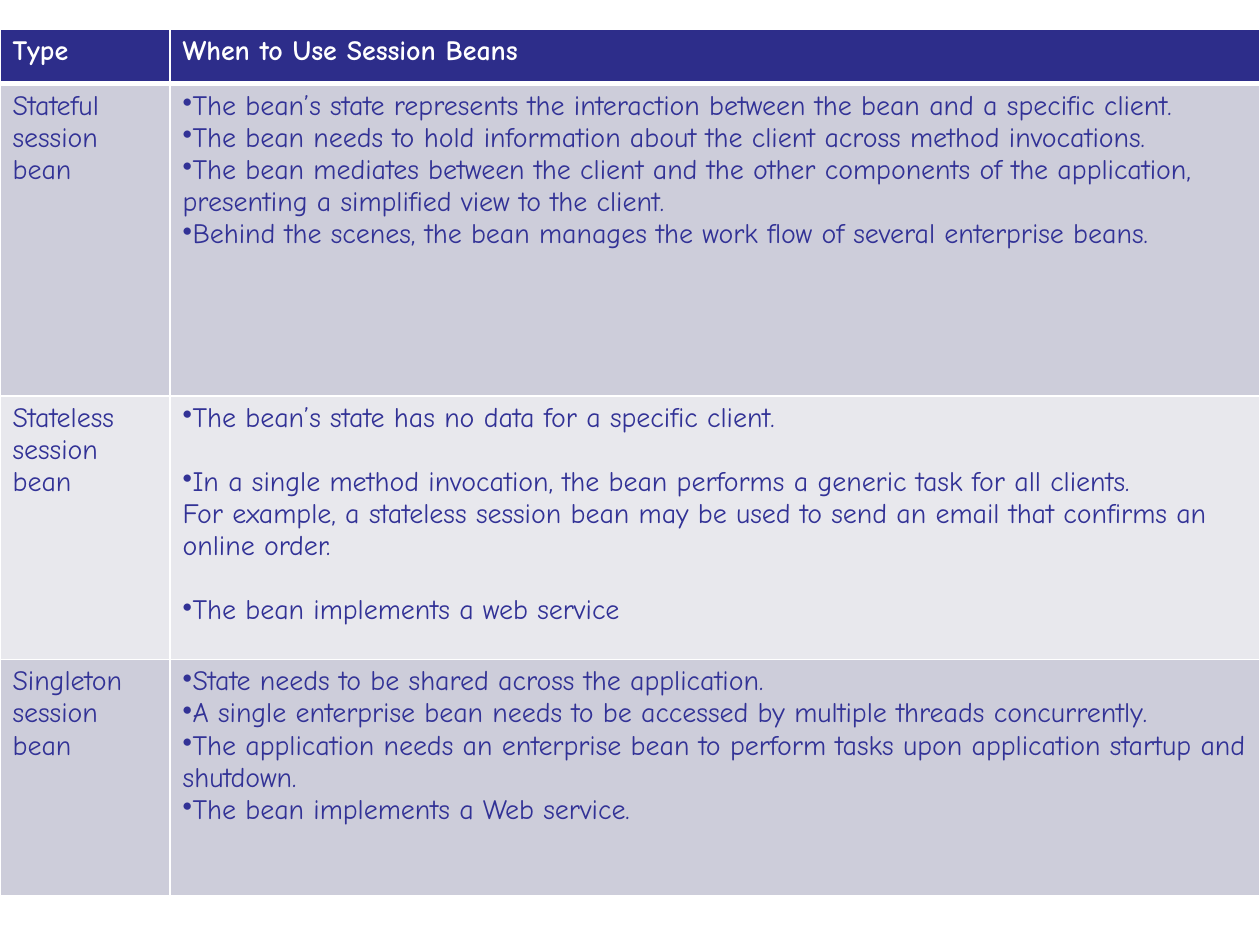
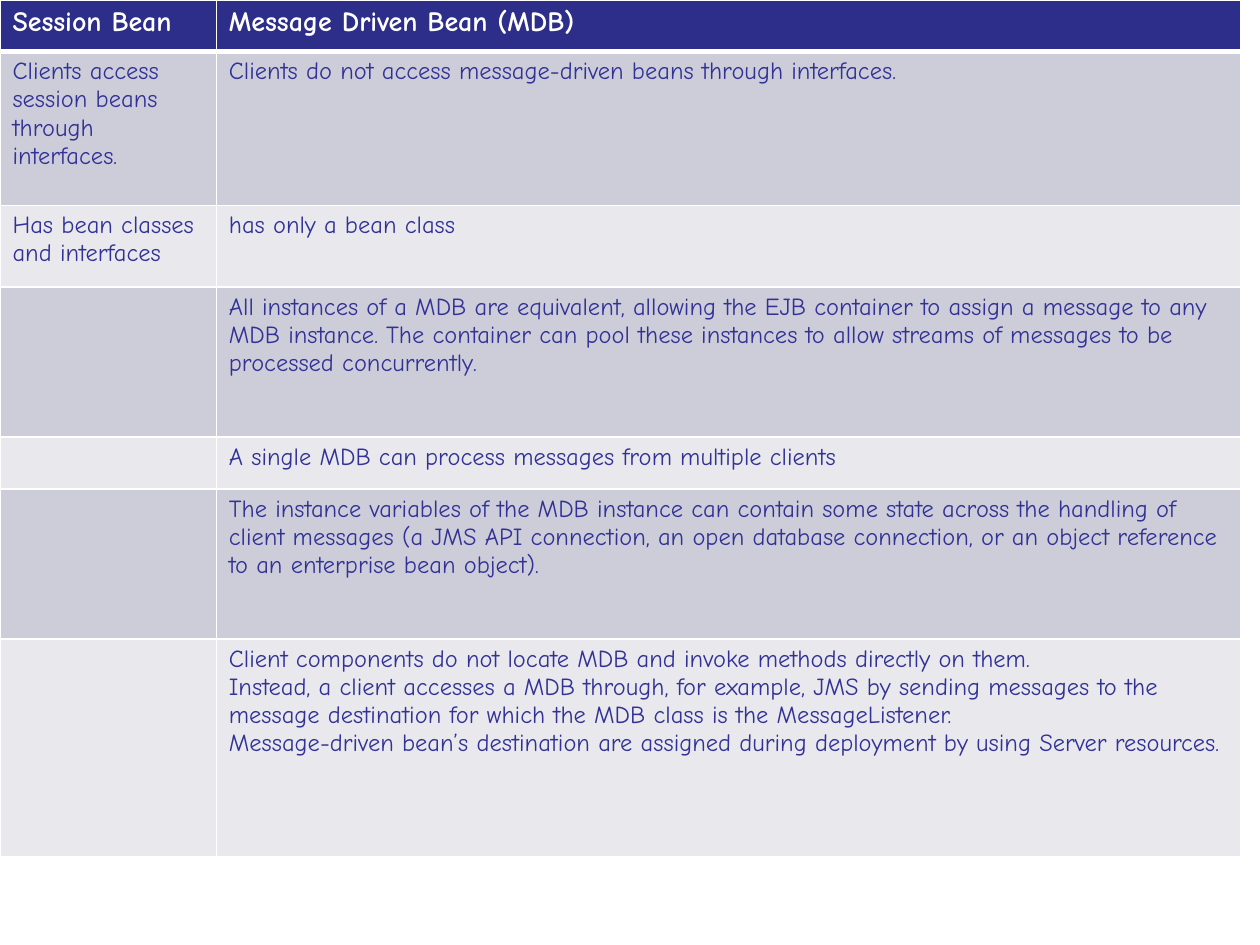
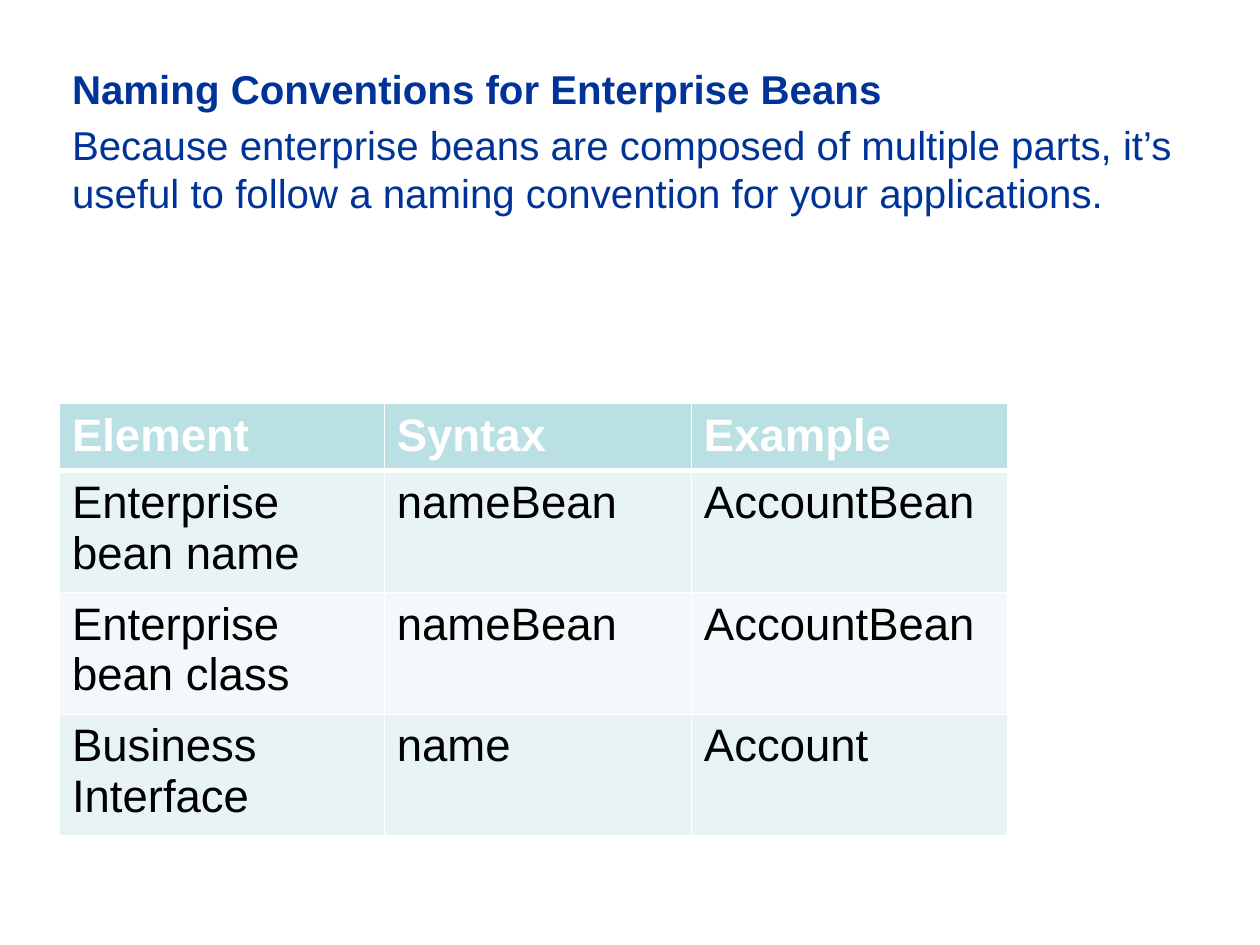
from lxml import etree
from pptx import Presentation
from pptx.dml.color import RGBColor
from pptx.oxml.ns import qn
from pptx.util import Pt

WHITE = RGBColor(0xFF, 0xFF, 0xFF)
BLACK = RGBColor(0x00, 0x00, 0x00)
NAVY = RGBColor(0x2D, 0x2D, 0x8A)
INDIGO = RGBColor(0x32, 0x32, 0x96)
LAVENDER = RGBColor(0xCD, 0xCD, 0xDA)
PALE_LAVENDER = RGBColor(0xE8, 0xE8, 0xED)
BLUE = RGBColor(0x00, 0x33, 0x99)
TEAL = RGBColor(0xBB, 0xE0, 0xE3)
LIGHT_TEAL = RGBColor(0xE7, 0xF3, 0xF4)
PALE_TEAL = RGBColor(0xF3, 0xF9, 0xFA)

COMIC = "Comic Neue"
ARIAL = "Arial"
BULLET = "•"
LINE_GAP = 18.3
VIOLET_THEME = (COMIC, INDIGO, NAVY, (LAVENDER, PALE_LAVENDER))
TEAL_THEME = (ARIAL, BLACK, TEAL, (LIGHT_TEAL, PALE_TEAL))

SESSION_BEANS = [
    ["Type", "When to Use Session Beans"],
    ["Stateful session bean", [
        "•The bean’s state represents the interaction between the bean and a specific client.",
        "•The bean needs to hold information about the client across method invocations.",
        "•The bean mediates between the client and the other components of the application, "
        "presenting a simplified view to the client.",
        "•Behind the scenes, the bean manages the work flow of several enterprise beans."]],
    ["Stateless session bean", [
        "•The bean’s state has no data for a specific client.",
        "",
        "•In a single method invocation, the bean performs a generic task for all clients.",
        "For example, a stateless session bean may be used to send an email that confirms "
        "an online order.",
        "",
        "•The bean implements a web service"]],
    ["Singleton session bean", [
        "•State needs to be shared across the application.",
        "•A single enterprise bean needs to be accessed by multiple threads concurrently.",
        "•The application needs an enterprise bean to perform tasks upon application "
        "startup and shutdown.",
        "•The bean implements a Web service."]],
]
MESSAGE_BEANS = [
    ["Session Bean", "Message Driven Bean (MDB)"],
    ["Clients access session beans through interfaces.",
     "Clients do not access message-driven beans through interfaces."],
    ["Has bean classes and interfaces", "has only a bean class"],
    ["", "All instances of a MDB are equivalent, allowing the EJB container to assign a "
         "message to any MDB instance. The container can pool these instances to allow "
         "streams of messages to be processed concurrently."],
    ["", "A single MDB can process messages from multiple clients"],
    ["", "The instance variables of the MDB instance can contain some state across the "
         "handling of client messages (a JMS API connection, an open database connection, "
         "or an object reference to an enterprise bean object)."],
    ["", ["Client components do not locate MDB and invoke methods directly on them.",
          "Instead, a client accesses a MDB through, for example, JMS by sending messages "
          "to the message destination for which the MDB class is the MessageListener.",
          "Message-driven bean’s destination are assigned during deployment by using "
          "Server resources."]],
]
NAMING = [
    ["Element", "Syntax", "Example"],
    ["Enterprise bean name", "nameBean", "AccountBean"],
    ["Enterprise bean class", "nameBean", "AccountBean"],
    ["Business Interface", "name", "Account"],
]


def set_font(p, name, size, color, bold):
    """Style a whole paragraph."""
    font = p.font
    font.name, font.size, font.bold = name, Pt(size), bold
    font.color.rgb = color


def set_borders(cell, top, bottom):
    """Draw white borders with the given top and bottom widths."""
    tc_pr = cell._tc.get_or_add_tcPr()
    for tag, width in (("lnL", 1), ("lnR", 1), ("lnT", top), ("lnB", bottom)):
        ln = etree.SubElement(tc_pr, qn(f"a:{tag}"), w=str(Pt(width)))
        fill = etree.SubElement(ln, qn("a:solidFill"))
        etree.SubElement(fill, qn("a:srgbClr"), val=str(WHITE))


def add_bullet(p):
    """Give a paragraph a bullet without a hanging indent."""
    etree.SubElement(p._p.get_or_add_pPr(), qn("a:buChar"), char=BULLET)


def fill_cell(cell, content, font, size, color, bold):
    """Write one paragraph per line; an empty line widens the next gap."""
    lines = content if isinstance(content, list) else [content]
    tf = cell.text_frame
    p, gap = tf.paragraphs[0], 0
    for i, line in enumerate(lines):
        if i and not line:
            gap = LINE_GAP
            continue
        if i:
            p = tf.add_paragraph()
        if gap:
            p.space_before = Pt(gap)
            gap = 0
        if line.startswith(BULLET):
            add_bullet(p)
        p.text = line.removeprefix(BULLET)
        set_font(p, font, size, color, bold)


def add_grid(s, left, top, widths, heights, rows, theme, head_size, body_size):
    """Add a table with a dark header and alternating body rows."""
    font, color, head_fill, bands = theme
    table = s.shapes.add_table(len(rows), len(widths), Pt(left), Pt(top),
                               Pt(sum(widths)), Pt(sum(heights))).table
    for column, width in zip(table.columns, widths):
        column.width = Pt(width)
    for i, (row, height) in enumerate(zip(rows, heights)):
        table.rows[i].height = Pt(height)
        head = i == 0
        for j, content in enumerate(row):
            cell = table.cell(i, j)
            set_borders(cell, 3 if i == 1 else 1, 3 if head else 1)
            cell.fill.solid()
            cell.fill.fore_color.rgb = head_fill if head else bands[(i - 1) % 2]
            fill_cell(cell, content, font, head_size if head else body_size,
                      WHITE if head else color, head)


def add_intro(s, heading, body):
    """Add a bold heading with a plain paragraph below it."""
    tf = s.shapes.add_textbox(Pt(36), Pt(34), Pt(648), Pt(180)).text_frame
    tf.word_wrap = True
    tf.margin_left = tf.margin_right = Pt(5.2)
    tf.margin_top = tf.margin_bottom = Pt(2.6)
    for p, text, bold in ((tf.paragraphs[0], heading, True),
                          (tf.add_paragraph(), body, False)):
        p.text = text
        p.space_before = Pt(4.6)
        set_font(p, ARIAL, 23, BLUE, bold)


def main():
    """Build the three slides."""
    prs = Presentation()
    prs.slide_width, prs.slide_height = Pt(720), Pt(540)
    blank = prs.slide_layouts[6]

    s = prs.slides.add_slide(blank)
    add_grid(s, 0, 16.8, [97.2, 622.8], [31, 178.4, 150.6, 135.4],
             SESSION_BEANS, VIOLET_THEME, 16, 16)

    s = prs.slides.add_slide(blank)
    add_grid(s, 0, 0, [123.6, 585.2], [29.4, 88, 46.6, 85.7, 29.7, 85.7, 124.8],
             MESSAGE_BEANS, VIOLET_THEME, 16, 14)

    s = prs.slides.add_slide(blank)
    add_intro(s, "Naming Conventions for Enterprise Beans",
              "Because enterprise beans are composed of multiple parts, it’s useful to "
              "follow a naming convention for your applications.")
    add_grid(s, 34, 230.6, [185.6, 175.5, 180.9], [36] + [65.2] * 3,
             NAMING, TEAL_THEME, 26, 26)

    prs.save("out.pptx")


if __name__ == "__main__":
    main()
